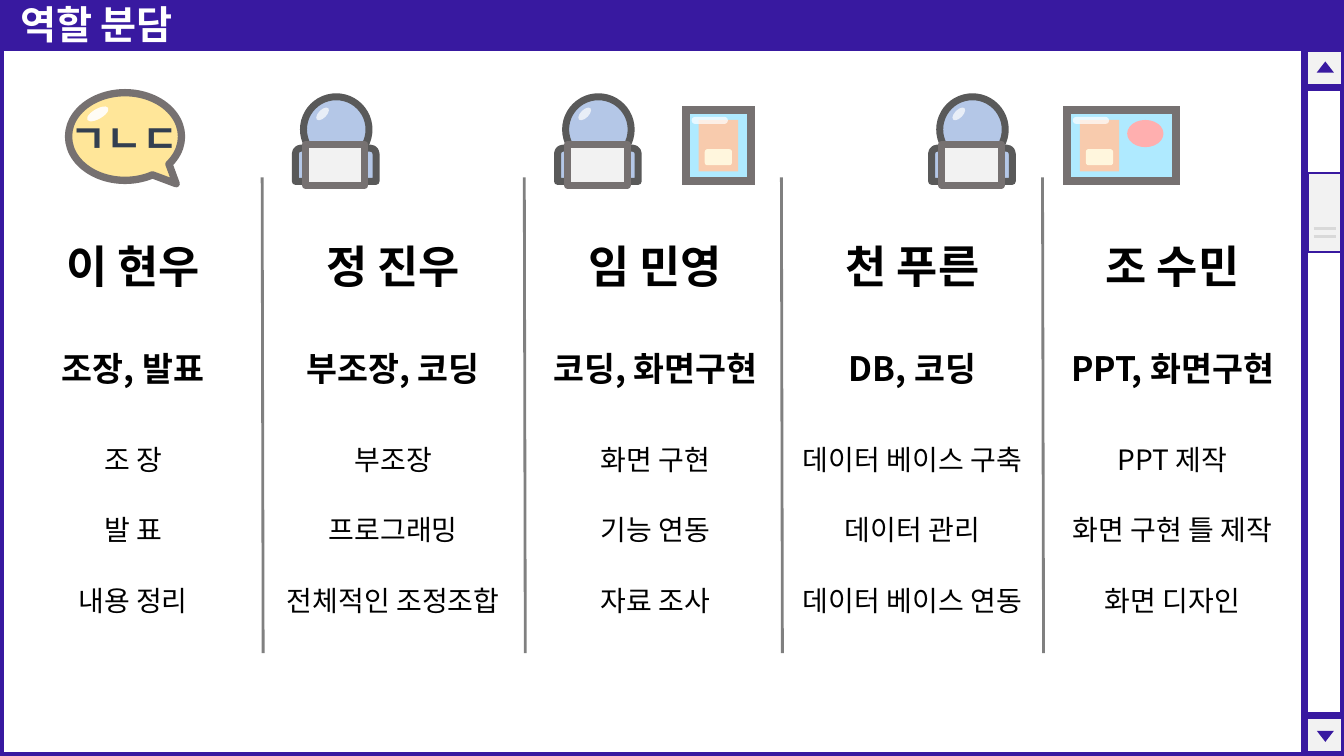
from pptx import Presentation
from pptx.dml.color import RGBColor
from pptx.enum.shapes import MSO_CONNECTOR, MSO_SHAPE as SHAPE
from pptx.enum.text import MSO_ANCHOR as ANCHOR, PP_ALIGN as ALIGN
from pptx.oxml.ns import qn
from pptx.util import Pt
from lxml.etree import SubElement

PX = 9144  # 100 px to the inch
THEME = {
    "font": "Noto Sans CJK KR",
    "purple": "3819A0", "white": "FFFFFF", "black": "000000", "panel": "F2F2F2",
    "grip": "D9D9D9", "divider": "808080", "outline": "767171", "dark": "595959",
    "blue": "B4C7E7", "yellow": "FFE699", "navy": "333F50", "sky": "AFEAFF",
    "peach": "F8CBAD", "cream": "FFF6DD", "pink": "FFAFAF",
    "title": 28, "name": 32, "role": 24, "task": 20,
}

presentation = Presentation()
presentation.slide_width, presentation.slide_height = 1333 * PX, 750 * PX
slide = presentation.slides.add_slide(presentation.slide_layouts[6])


def draw(kind, box, fill=None, line=None, width=0, rotation=0, opacity=100, adjust=(), miter=False):
    if kind == "line":
        shape = slide.shapes.add_connector(MSO_CONNECTOR.STRAIGHT, *[v * PX for v in box])
        SubElement(shape._element.spPr, qn("a:effectLst"))
    else:
        shape = slide.shapes.add_shape(kind, *[v * PX for v in box])
        shape.shadow.inherit = False
        shape.rotation = rotation
        for index, value in enumerate(adjust):
            shape.adjustments[index] = value
        if fill:
            shape.fill.solid()
            shape.fill.fore_color.rgb = RGBColor.from_string(THEME[fill])
            if opacity < 100:
                color = shape._element.spPr.find(".//" + qn("a:srgbClr"))
                SubElement(color, qn("a:alpha"), val=str(opacity * 1000))
        else:
            shape.fill.background()
    if line:
        shape.line.color.rgb = RGBColor.from_string(THEME[line])
        shape.line.width = Pt(width)
        if miter:
            SubElement(shape.line._get_or_add_ln(), qn("a:miter"), lim="800000")
    else:
        shape.line.fill.background()


def write(text, box, size, color="black", bold=True, align=ALIGN.CENTER, anchor=ANCHOR.TOP):
    frame = slide.shapes.add_textbox(*[v * PX for v in box]).text_frame
    frame.word_wrap, frame.vertical_anchor = True, anchor
    paragraph = frame.paragraphs[0]
    paragraph.alignment = align
    run = paragraph.add_run()
    run.text = text
    for key, value in {"name": THEME["font"], "size": Pt(THEME[size]), "bold": bold}.items():
        setattr(run.font, key, value)
    run.font.color.rgb = RGBColor.from_string(THEME[color])
    SubElement(run._r.get_or_add_rPr(), qn("a:ea"), typeface=THEME["font"])


# Window border and scroll bar
draw(SHAPE.RECTANGLE, (0, 0, 1333, 750), line="purple", width=6, miter=True)
for button_top, arrow_top, rotation in [(48, 61, 0), (710, 725, 180)]:
    draw(SHAPE.RECTANGLE, (1294, button_top, 39, 39), "panel", "purple", 5, miter=True)
    draw(SHAPE.ISOSCELES_TRIANGLE, (1306, arrow_top, 17, 11), "purple", rotation=rotation)
draw("line", (1294, 47, 1294, 749), line="purple", width=5)
draw(SHAPE.RECTANGLE, (1297, 172, 33, 78), "panel", "purple", 1.5, miter=True)
for y in (227, 235):
    draw("line", (1303, y, 1325, y), line="grip", width=2)

# Title bar
draw(SHAPE.RECTANGLE, (0, 0, 1335, 50), "purple", "purple", 1)
write("역할 분담", (10, -5, 689, 57), "title", "white", align=ALIGN.LEFT)

# Speech bubble
draw(SHAPE.OVAL_CALLOUT, (68, 92, 112, 87), "yellow", "outline", 5.25, adjust=(0.453, 0.538))
write("ㄱㄴㄷ", (37, 120, 174, 33), "title", "navy", anchor=ANCHOR.MIDDLE)
draw(SHAPE.OVAL, (85, 108, 24, 10), "white", rotation=330, opacity=90)

# People at a laptop
for left in (293, 553, 924):
    draw(SHAPE.ROUND_2_SAME_RECTANGLE, (left, 147, 80, 33), "blue", "dark", 5)
    draw(SHAPE.OVAL, (left + 8, 96, 65, 65), "blue", "dark", 5)
    draw(SHAPE.RECTANGLE, (left + 10, 143, 59, 41), "panel", "outline", 5)
    draw(SHAPE.OVAL, (left + 19, 109, 16, 8), "white", rotation=315, opacity=70)

# Screens
for left, width in [(680, 65), (1058, 108)]:
    draw(SHAPE.FLOWCHART_PROCESS, (left, 109, width, 71), "sky", "outline", 5.75, miter=True)
    draw(SHAPE.RECTANGLE, (left + 13, 119, 39, 51), "peach")
    draw(SHAPE.ROUNDED_RECTANGLE, (left + 6, 116, 36, 7), "white", opacity=70, adjust=(0.5,))
    draw(SHAPE.ROUNDED_RECTANGLE, (left + 19, 148, 27, 16), "cream")
draw(SHAPE.OVAL, (1118, 119, 36, 27), "pink")

# Column dividers
for x in (260, 520, 775, 1034):
    draw("line", (x + 1, 648, x, 176), line="divider", width=2)

# Members: left edge, name, roles, tasks
members = [
    (4, "이 현우", "조장, 발표", ["조 장", "발 표", "내용 정리"]),
    (262, "정 진우", "부조장, 코딩", ["부조장", "프로그래밍", "전체적인 조정조합"]),
    (522, "임 민영", "코딩, 화면구현", ["화면 구현", "기능 연동", "자료 조사"]),
    (777, "천 푸른", "DB, 코딩", ["데이터 베이스 구축", "데이터 관리", "데이터 베이스 연동"]),
    (1035, "조 수민", "PPT, 화면구현", ["PPT 제작", "화면 구현 틀 제작", "화면 디자인"]),
]
for left, name, role, tasks in members:
    write(name, (left, 232, 256, 64), "name")
    write(role, (left, 340, 256, 50), "role")
    for row, task in enumerate(tasks):
        write(task, (left - 5, 434 + 70 * row, 266, 44), "task", bold=False)

presentation.save("out.pptx")
